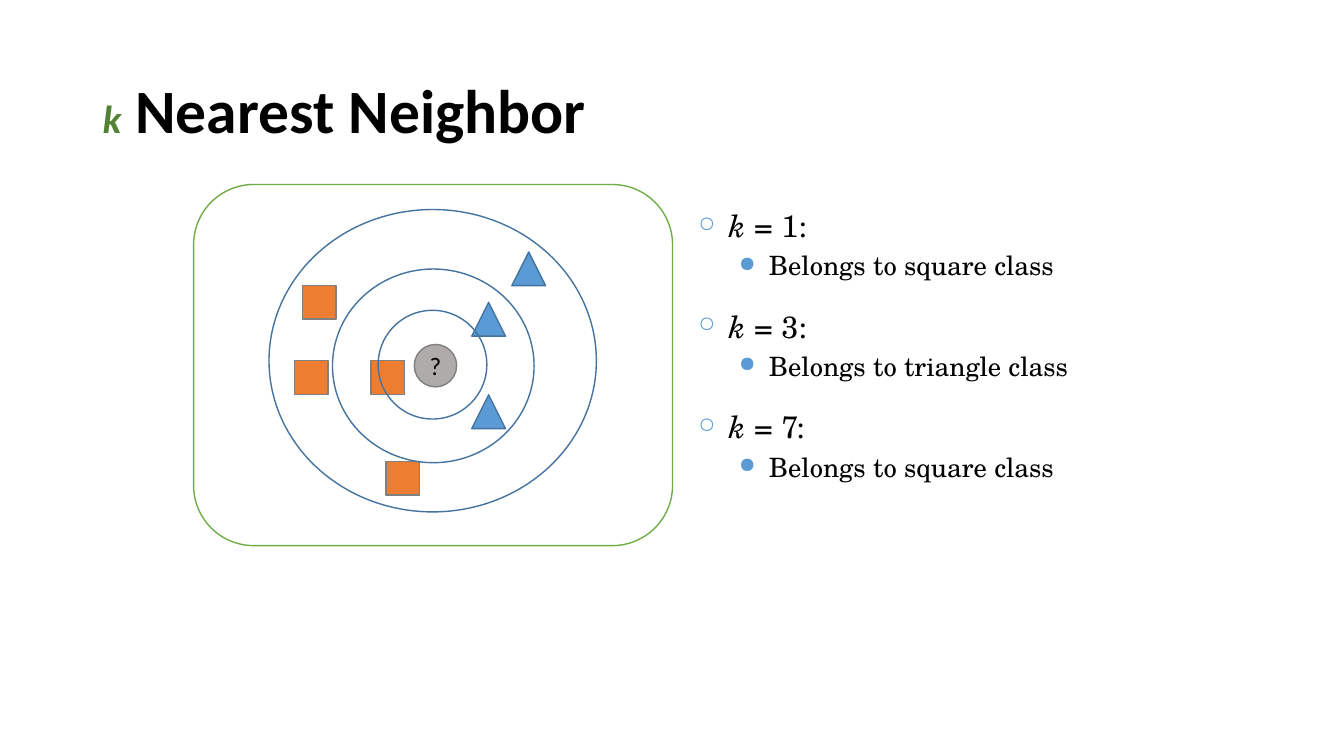
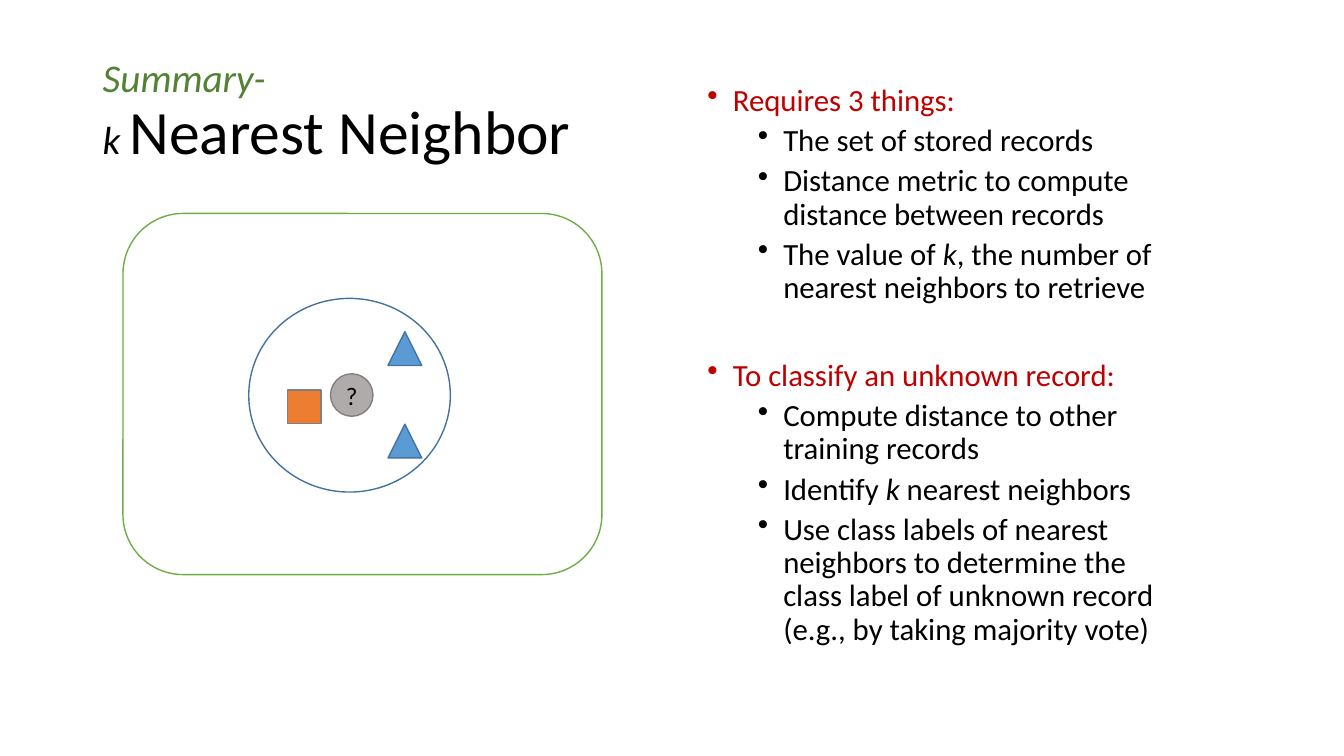
from lxml import etree
from pptx import Presentation
from pptx.dml.color import RGBColor
from pptx.enum.shapes import MSO_SHAPE
from pptx.enum.text import MSO_ANCHOR, PP_ALIGN
from pptx.oxml.ns import qn
from pptx.util import Cm, Pt

OVAL = MSO_SHAPE.OVAL
SQUARE = MSO_SHAPE.RECTANGLE
TRIANGLE = MSO_SHAPE.ISOSCELES_TRIANGLE
ROUNDED = MSO_SHAPE.ROUNDED_RECTANGLE
TOP, MIDDLE = MSO_ANCHOR.TOP, MSO_ANCHOR.MIDDLE
CENTER = PP_ALIGN.CENTER

BLACK = RGBColor(0x00, 0x00, 0x00)
DARK_GREEN = RGBColor(0x54, 0x82, 0x35)
GREEN = RGBColor(0x70, 0xAD, 0x47)
BLUE = RGBColor(0x5B, 0x9B, 0xD5)
DARK_BLUE = RGBColor(0x43, 0x73, 0x9E)
ORANGE = RGBColor(0xED, 0x7D, 0x31)
LIGHT_GRAY = RGBColor(0xAF, 0xAB, 0xAB)
GRAY = RGBColor(0x80, 0x80, 0x80)
RED = RGBColor(0xC0, 0x00, 0x00)

SANS, SERIF = "Calibri", "TeX Gyre Schola"
MARK = 0.85
FRAME_SIZE = (12.07, 9.1)
TITLE_BOX = (2.34, 1.02, 29.21, 3.68)

TITLE = {"format": {"line_spacing": 0.9}}
CASE = {"bullet": ("○", 0.76, 0.76, BLUE, 70), "format": {}}
VERDICT = {"bullet": ("●", 1.78, 0.76, BLUE, 80),
           "format": {"level": 1, "space_before": Pt(4)}}
HEADING = {"bullet": ("•", 0.64, 0.64, None, None), "format": {"line_spacing": 0.9}}
NEXT_HEADING = {"bullet": HEADING["bullet"],
                "format": {"line_spacing": 0.9, "space_before": Pt(39)}}
POINT = {"bullet": ("•", 1.91, 0.64, None, None),
         "format": {"level": 1, "line_spacing": 0.9, "space_before": Pt(5)}}


def add_text(slide, box, paragraphs, font_name, anchor=TOP):
    frame = slide.shapes.add_textbox(*map(Cm, box)).text_frame
    frame.word_wrap = True
    frame.vertical_anchor = anchor
    for index, (style, runs) in enumerate(paragraphs):
        paragraph = frame.add_paragraph() if index else frame.paragraphs[0]
        if "bullet" in style:
            symbol, margin, hanging, bullet_color, percent = style["bullet"]
            properties = paragraph._p.get_or_add_pPr()
            properties.set("marL", str(Cm(margin)))
            properties.set("indent", str(-Cm(hanging)))
            if bullet_color:
                color_tag = etree.SubElement(properties, qn("a:buClr"))
                etree.SubElement(color_tag, qn("a:srgbClr"), val=str(bullet_color))
                etree.SubElement(properties, qn("a:buSzPct"), val=str(percent * 1000))
            etree.SubElement(properties, qn("a:buChar"), char=symbol)
        for name, value in style["format"].items():
            setattr(paragraph, name, value)
        for text, size, color, emphasis in runs:
            run = paragraph.add_run()
            run.text = text
            font_format = {"name": font_name, "size": Pt(size), **emphasis}
            for name, value in font_format.items():
                setattr(run.font, name, value)
            run.font.color.rgb = color


def add_figure(slide, kind, box, line_color, fill_color=None):
    figure = slide.shapes.add_shape(kind, *map(Cm, box))
    figure.shadow.inherit = False
    if fill_color is None:
        figure.fill.background()
    else:
        figure.fill.solid()
        figure.fill.fore_color.rgb = fill_color
    figure.line.color.rgb = line_color
    figure.line.width = Pt(1)
    return figure


ITALIC = {"italic": True}
BOLD = {"bold": True}

deck = Presentation()
deck.slide_width, deck.slide_height = Cm(33.87), Cm(19.05)
blank = deck.slide_layouts[6]
voting, summary = [deck.slides.add_slide(blank) for _ in range(2)]

add_text(voting, TITLE_BOX, [
    (TITLE, [("k", 28, DARK_GREEN, {**BOLD, **ITALIC}),
             (" Nearest Neighbor", 44, BLACK, BOLD)]),
], SANS, MIDDLE)
add_text(summary, TITLE_BOX, [
    (TITLE, [("Summary-", 28, DARK_GREEN, ITALIC)]),
    (TITLE, [("k ", 28, BLACK, ITALIC), ("Nearest Neighbor", 44, BLACK, {})]),
], SANS, MIDDLE)

add_figure(voting, OVAL, (6.78, 5.28, 8.25, 7.62), DARK_BLUE)
for kind, left, top in [(TRIANGLE, 12.9, 6.35), (SQUARE, 9.73, 11.63),
                        (SQUARE, 7.62, 7.19), (SQUARE, 7.42, 9.09)]:
    line_color, fill_color = (DARK_BLUE, BLUE) if kind == TRIANGLE else (GRAY, ORANGE)
    add_figure(voting, kind, (left, top, MARK, MARK), line_color, fill_color)

for slide, frame_corner, ring_corner in [
    (voting, (4.88, 4.65), (8.38, 6.78)),
    (summary, (3.1, 5.38), (6.27, 7.52)),
]:
    add_figure(slide, ROUNDED, (*frame_corner, *FRAME_SIZE), GREEN)
    left, top = ring_corner
    for drop in (0.84, 3.17):
        add_figure(slide, TRIANGLE, (left + 3.51, top + drop, MARK, MARK), DARK_BLUE, BLUE)
    add_figure(slide, SQUARE, (left + 0.97, top + 2.31, MARK, MARK), GRAY, ORANGE)
    unknown = add_figure(slide, OVAL, (left + 2.06, top + 1.9, 1.07, 1.07), GRAY, LIGHT_GRAY)
    question = unknown.text_frame
    layout = {"margin_left": 0, "margin_right": 0, "margin_top": 0, "margin_bottom": 0,
              "word_wrap": False, "vertical_anchor": MIDDLE, "text": "?"}
    for name, value in layout.items():
        setattr(question, name, value)
    question.paragraphs[0].alignment = CENTER
    question_font = question.paragraphs[0].runs[0].font
    question_font.name, question_font.size = SANS, Pt(18)
    question_font.color.rgb = BLACK
    add_figure(slide, OVAL, (left, top, 5.08, 4.88), DARK_BLUE)

add_figure(voting, OVAL, (9.53, 7.82, 2.74, 2.74), DARK_BLUE)

for row, (count, winner) in enumerate([(1, "square"), (3, "triangle"), (7, "square")]):
    add_text(voting, (17.35, 5.08 + 2.54 * row, 10.8, 2.97), [
        (CASE, [("k", 22, BLACK, ITALIC), (f" = {count}:", 22, BLACK, {})]),
        (VERDICT, [(f"Belongs to {winner} class", 19, BLACK, {})]),
    ], SERIF)

outline = [
    (HEADING, RED, ["Requires 3 things:"]),
    (POINT, BLACK, ["The set of stored records"]),
    (POINT, BLACK, ["Distance metric to compute distance between records"]),
    (POINT, BLACK, ["The value of ", "k", ", the number of nearest neighbors to retrieve"]),
    (NEXT_HEADING, RED, ["To classify an unknown record:"]),
    (POINT, BLACK, ["Compute distance to other training records"]),
    (POINT, BLACK, ["Identify ", "k", " nearest neighbors"]),
    (POINT, BLACK, ["Use class labels of nearest neighbors to determine the class label "
                    "of unknown record (e.g., by taking majority vote)"]),
]
add_text(summary, (17.58, 2.01, 11.86, 13.54), [
    (style, [(text, 22, color, ITALIC if text == "k" else {}) for text in texts])
    for style, color, texts in outline
], SANS)

deck.save("out.pptx")
